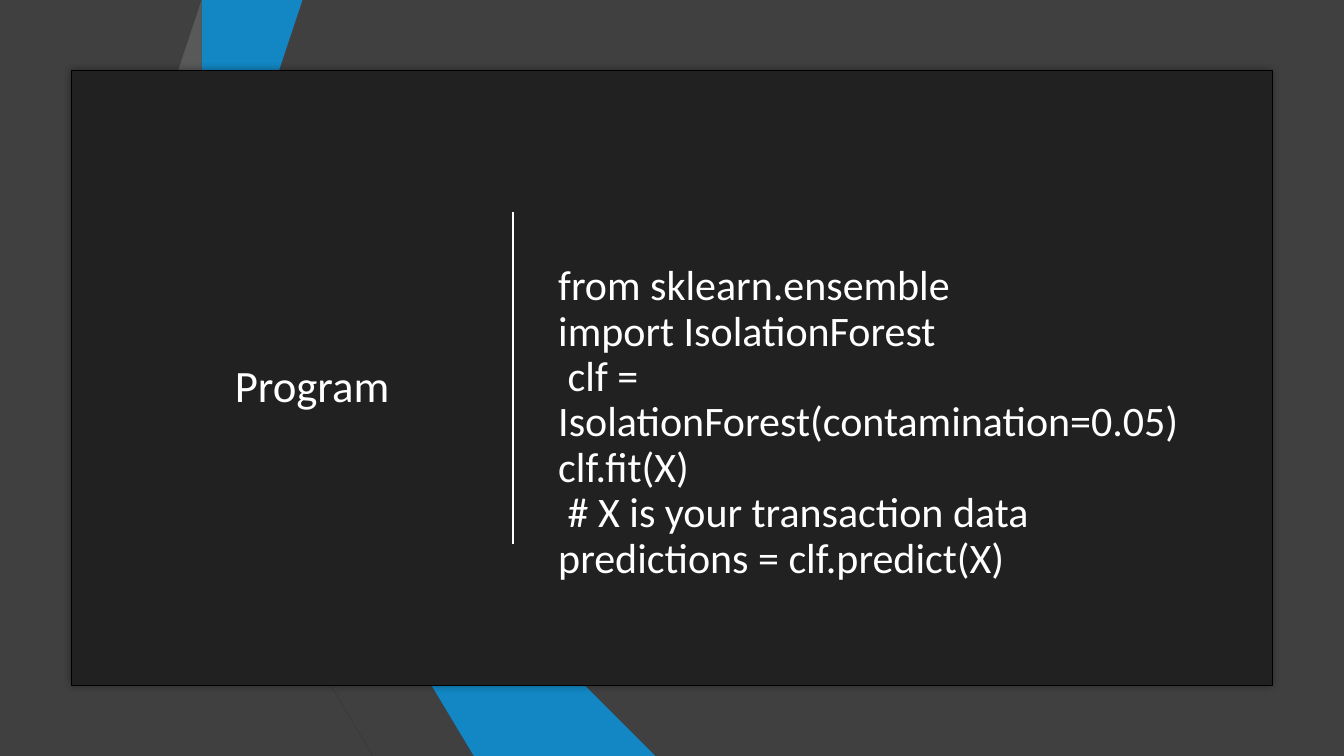
import pptx
import pptx.util
import pptx.dml.color
import pptx.enum.shapes
import pptx.enum.text
import pptx.oxml
import pptx.oxml.ns

RGBColor = pptx.dml.color.RGBColor
WHITE = RGBColor(0xFF, 0xFF, 0xFF)
BLACK = RGBColor(0x00, 0x00, 0x00)
BACKDROP = RGBColor(0x40, 0x40, 0x40)
PANEL = RGBColor(0x21, 0x21, 0x21)
BLUE = RGBColor(0x12, 0x87, 0xC3)
DEEP_BLUE = RGBColor(0x0C, 0x5A, 0x82)
GREY = RGBColor(0x59, 0x59, 0x59)
DARK_GREY = RGBColor(0x26, 0x26, 0x26)

prs = pptx.Presentation()
prs.slide_width = pptx.util.Inches(13.33)
prs.slide_height = pptx.util.Inches(7.5)
W, H = prs.slide_width, prs.slide_height
s = prs.slides.add_slide(prs.slide_layouts[6])
s.background.fill.solid()
s.background.fill.fore_color.rgb = BACKDROP

ribbons = [
    (BLUE, [(1.67, 2.94), (2.06, 3.04), (2.83, 0), (2.41, 0)]),
    (GREY, [(1.58, 2.92), (2.32, 0), (1.9, 0), (1.19, 2.82)]),
    (DARK_GREY, [(1.19, 2.83), (4.01, 7.5), (4.14, 7.5)]),
    (DEEP_BLUE, [(1.67, 2.95), (5.18, 7.5), (5.32, 7.5)]),
    (BLUE, [(1.67, 2.94), (5.32, 7.5), (6.67, 7.5), (2.06, 3.04)]),
]
for color, points in ribbons:
    fb = s.shapes.build_freeform(*points[0], scale=pptx.util.Inches(1))
    fb.add_line_segments(points[1:], close=True)
    sp = fb.convert_to_shape()
    sp.shadow.inherit = False
    sp.fill.solid()
    sp.fill.fore_color.rgb = color
    sp.line.fill.background()

margin_x, margin_y = int(W * 0.0533), int(H * 0.0933)
sp = s.shapes.add_shape(pptx.enum.shapes.MSO_SHAPE.RECTANGLE, margin_x, margin_y,
                        W - 2 * margin_x, H - 2 * margin_y)
sp.fill.solid()
sp.fill.fore_color.rgb = PANEL
sp.line.color.rgb = BLACK
sp.line.width = pptx.util.Pt(0.25)
sp.shadow.inherit = False
effects = sp._element.spPr.find(pptx.oxml.ns.qn("a:effectLst"))
effects.append(pptx.oxml.parse_xml(
    '<a:outerShdw xmlns:a="http://schemas.openxmlformats.org/drawingml/2006/main" '
    'blurRad="63500"><a:srgbClr val="000000"><a:alpha val="40000"/></a:srgbClr></a:outerShdw>'))

divider_x = int(W * 0.3818)
c = s.shapes.add_connector(pptx.enum.shapes.MSO_CONNECTOR.STRAIGHT,
                           divider_x, int(H * 0.28), divider_x, int(H * 0.72))
c.line.color.rgb = WHITE
c.line.width = pptx.util.Pt(1.25)
c._element.spPr.append(pptx.oxml.parse_xml(
    '<a:effectLst xmlns:a="http://schemas.openxmlformats.org/drawingml/2006/main"/>'))

code = "\v".join([
    "from sklearn.ensemble ",
    "import IsolationForest",
    " clf = IsolationForest(contamination=0.05) ",
    "clf.fit(X)",
    " # X is your transaction data predictions = clf.predict(X)",
])
MIDDLE, TOP = pptx.enum.text.MSO_ANCHOR.MIDDLE, pptx.enum.text.MSO_ANCHOR.TOP
texts = [
    (code, 0.408, 0.305, 0.495, 0.51, 30, 0.9, MIDDLE),
    ("Program", 0.1673, 0.4667, 0.1568, 0.0853, 32, 1.0, TOP),
]
for text, x, y, w, h, size, spacing, anchor in texts:
    tf = s.shapes.add_textbox(int(W * x), int(H * y), int(W * w), int(H * h)).text_frame
    tf.word_wrap = True
    tf.vertical_anchor = anchor
    p = tf.paragraphs[0]
    p.text = text
    p.line_spacing = spacing
    p.font.name = "Calibri"
    p.font.size = pptx.util.Pt(size)
    p.font.color.rgb = WHITE

prs.save("out.pptx")
